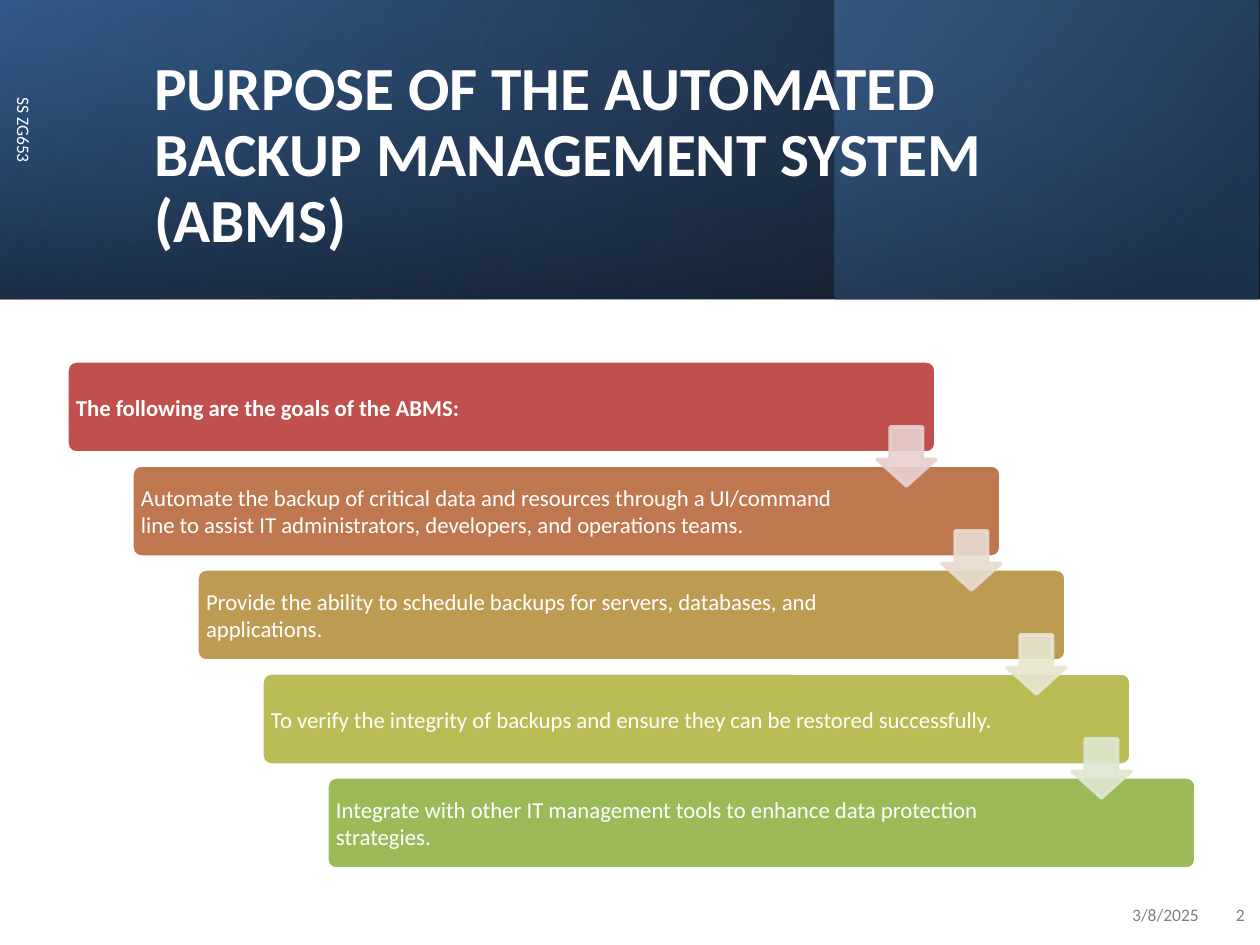
from lxml.etree import SubElement
from pptx import Presentation
from pptx.dml.color import RGBColor
from pptx.enum.shapes import MSO_SHAPE as SHAPE
from pptx.enum.text import MSO_ANCHOR as ANCHOR, PP_ALIGN as ALIGN
from pptx.oxml import parse_xml
from pptx.oxml.ns import qn
from pptx.util import Pt

PX = 914400 // 126
WHITE = RGBColor(0xFF, 0xFF, 0xFF)
GRAY = RGBColor(0x80, 0x80, 0x80)
BAR_COLORS = [RGBColor.from_string(c) for c in ("C0504D", "BF7750", "BD9B53", "BCBC56", "9BBB59")]
ARROW_COLORS = [RGBColor.from_string(c) for c in ("E8D0D0", "E8DCD0", "E7E6D1", "DEE7D1")]
NS = "http://schemas.openxmlformats.org/drawingml/2006/main"

prs = Presentation()
prs.slide_width, prs.slide_height = 1260 * PX, 945 * PX
s = prs.slides.add_slide(prs.slide_layouts[6])


def add_shape(kind, x, y, w, h):
    sp = s.shapes.add_shape(kind, x * PX, y * PX, w * PX, h * PX)
    sp.shadow.inherit = False
    return sp


def add_text(text, x, y, w, h, size, color=WHITE, bold=False, align=ALIGN.LEFT, after=6):
    sp = s.shapes.add_textbox(x * PX, y * PX, w * PX, h * PX)
    tf = sp.text_frame
    tf.word_wrap = True
    tf.vertical_anchor = ANCHOR.MIDDLE
    p = tf.paragraphs[0]
    p.text = text
    p.alignment = align
    p.space_after = Pt(after)
    p.font.name, p.font.size, p.font.bold = "Calibri", Pt(size), bold
    p.font.color.rgb = color
    return sp


# Header band: three translucent gradients, stops as (position, colour, alpha)
header = [
    ((0, 0, 1260, 299), 0, 330, [(0, "000000", 96), (100, "376092", 100)]),
    ((835, 0, 424, 299), 0, 320, [(19, "254061", 68), (100, "4F81BD", 48)]),
    ((480, -480, 299, 1260), 270, 350, [(23, "376092", 16), (99, "000000", 45)]),
]
for box, rotation, angle, stops in header:
    sp = add_shape(SHAPE.RECTANGLE, *box)
    sp.rotation = rotation
    sp.line.fill.background()
    spPr = sp._element.spPr
    spPr.find(qn("a:xfrm")).set("flipH", "1")
    gs = "".join(
        f'<a:gs pos="{pos * 1000}"><a:srgbClr val="{color}"><a:alpha val="{alpha * 1000}"/></a:srgbClr></a:gs>'
        for pos, color, alpha in stops)
    spPr.find(qn("a:prstGeom")).addnext(parse_xml(
        f'<a:gradFill xmlns:a="{NS}" rotWithShape="1"><a:gsLst>{gs}</a:gsLst>'
        f'<a:lin ang="{angle * 60000}" scaled="0"/></a:gradFill>'))

# Title, course code, date and slide number
title = add_text("PURPOSE OF THE AUTOMATED BACKUP MANAGEMENT SYSTEM (ABMS)",
                 142, 48, 1004, 217, 35, bold=True, after=0)
title.text_frame.paragraphs[0].line_spacing = 0.9
add_text("SS ZG653", -189, 273, 426, 50, 10).rotation = 90
add_text("3/8/2025", 927, 890, 284, 50, 10, GRAY, align=ALIGN.RIGHT)
add_text("2", 1210, 890, 47, 50, 10, GRAY, align=ALIGN.RIGHT)

# Staircase of goals
goals = [
    "The following are the goals of the ABMS:",
    "Automate the backup of critical data and resources through a UI/command line to assist "
    "IT administrators, developers, and operations teams.",
    "Provide the ability to schedule backups for servers, databases, and applications.",
    "To verify the integrity of backups and ensure they can be restored successfully.",
    "Integrate with other IT management tools to enhance data protection strategies.",
]
STEP_X, STEP_Y = 65, 104
for i, (goal, color) in enumerate(zip(goals, BAR_COLORS)):
    x, y = 67 + i * STEP_X, 361 + i * STEP_Y
    bar = add_shape(SHAPE.ROUNDED_RECTANGLE, x, y, 869, 92)
    bar.adjustments[0] = 0.1
    bar.fill.solid()
    bar.fill.fore_color.rgb = color
    bar.line.color.rgb = WHITE
    bar.line.width = Pt(2)
    tf = add_text(goal, x + 3, y + 3, 760 if i == 0 else 740, 86, 13, bold=i == 0, after=0).text_frame
    tf.margin_left = tf.margin_right = tf.margin_top = tf.margin_bottom = 6 * PX

# Arrows from each step to the next
for i, color in enumerate(ARROW_COLORS):
    arrow = add_shape(SHAPE.DOWN_ARROW, 877 + i * STEP_X, 427 + i * STEP_Y, 59, 59)
    arrow.adjustments[0], arrow.adjustments[1] = 0.55, 0.45
    arrow.fill.solid()
    arrow.fill.fore_color.rgb = color
    arrow.line.color.rgb = color
    arrow.line.width = Pt(2)
    for clr in arrow._element.spPr.iter(qn("a:srgbClr")):
        SubElement(clr, qn("a:alpha")).set("val", "90000")

prs.save("out.pptx")
